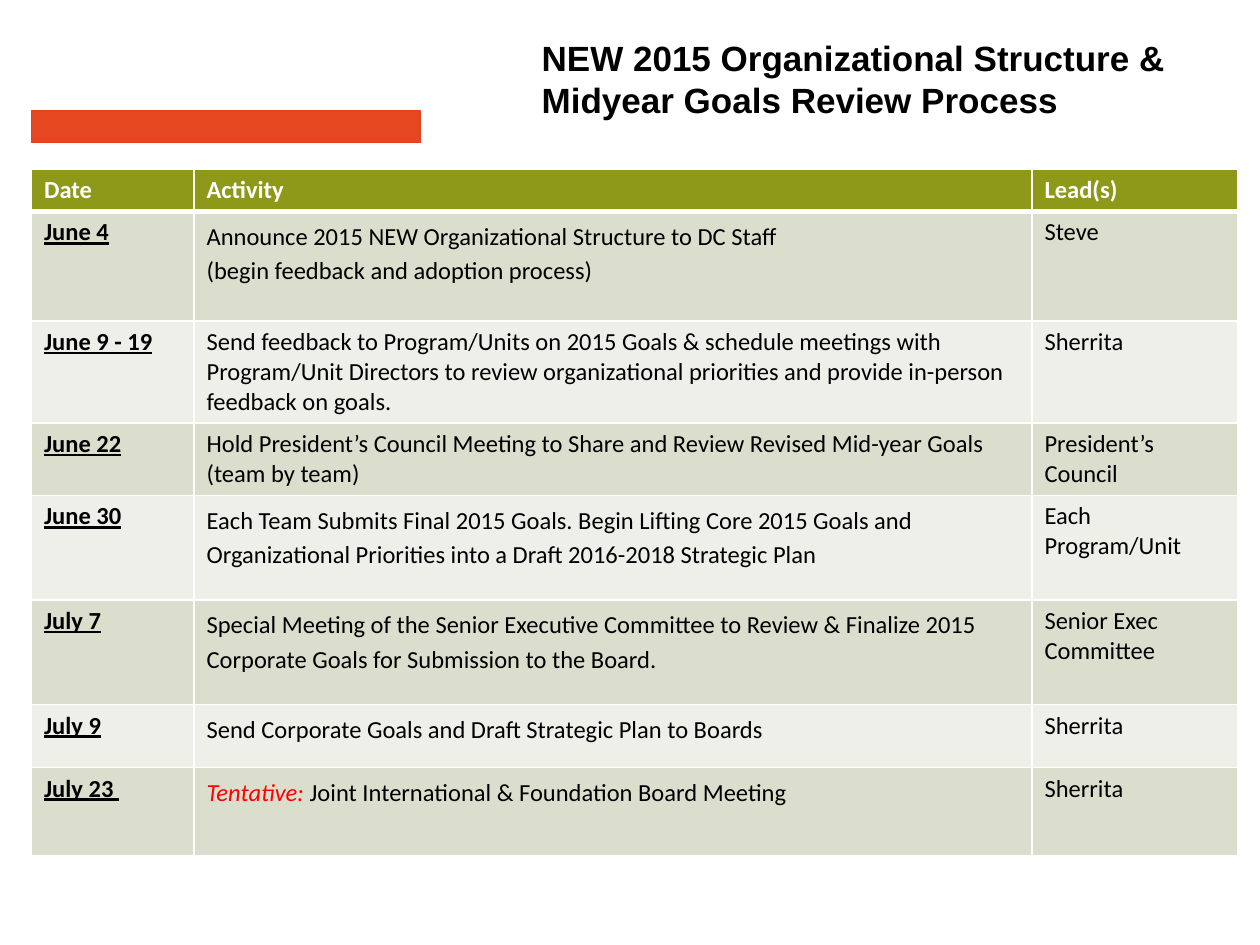
import pptx
import pptx.util
import pptx.dml.color
import pptx.enum.shapes
import pptx.enum.text
import pptx.oxml
import pptx.oxml.ns
from lxml import etree

Inches = pptx.util.Inches
Pt = pptx.util.Pt

COLORS = {
    "accent": "E54721",
    "accent_line": "E5431B",
    "header": "8E991A",
    "odd_row": "DBDECD",
    "even_row": "EEEFE8",
    "white": "FFFFFF",
    "text": "000000",
    "tentative": "FF0000",
}
COLUMN_WIDTHS = [1.29, 6.65, 1.63]
ROW_HEIGHTS = [0.33, 0.87, 0.8, 0.57, 0.83, 0.83, 0.5, 0.7]
HEADINGS = ["Date", "Activity", "Lead(s)"]
TENTATIVE = "Tentative: "

# Date, activity, lead, line spacing of the activity
SCHEDULE = [
    ("June 4", "Announce 2015 NEW Organizational Structure to DC Staff\n"
     "(begin feedback and adoption process)", "Steve", 1.15),
    ("June 9 - 19", "Send feedback to Program/Units on 2015 Goals & schedule meetings "
     "with Program/Unit Directors to review organizational priorities and provide "
     "in-person feedback on goals.", "Sherrita", 1.0),
    ("June 22", "Hold President’s Council Meeting to Share and Review Revised "
     "Mid-year Goals (team by team)", "President’s Council", 1.0),
    ("June 30", "Each Team Submits Final 2015 Goals. Begin Lifting Core 2015 Goals and "
     "Organizational Priorities into a Draft 2016-2018 Strategic Plan",
     "Each Program/Unit", 1.15),
    ("July 7", "Special Meeting of the Senior Executive Committee to Review & Finalize "
     "2015 Corporate Goals for Submission to the Board.", "Senior Exec Committee", 1.15),
    ("July 9", "Send Corporate Goals and Draft Strategic Plan to Boards", "Sherrita", 1.15),
    ("July 23 ", TENTATIVE + "Joint International & Foundation Board Meeting",
     "Sherrita", 1.15),
]


def color(name):
    return pptx.dml.color.RGBColor.from_string(COLORS[name])


def format_run(run, size, font_name, color_name, bold=False, underline=False):
    run.font.size = Pt(size)
    run.font.name = font_name
    run.font.color.rgb = color(color_name)
    run.font.bold = bold
    run.font.underline = underline


def add_accent_bar(slide, left, top, width, height):
    bar = slide.shapes.add_shape(
        pptx.enum.shapes.MSO_SHAPE.RECTANGLE, left, top, width, height)
    bar.shadow.inherit = False
    bar.fill.solid()
    bar.fill.fore_color.rgb = color("accent")
    bar.line.color.rgb = color("accent_line")
    bar.line.width = Pt(0.75)


def add_title(slide, left, top, width, height):
    text_frame = slide.shapes.add_textbox(left, top, width, height).text_frame
    text_frame.word_wrap = True
    text_frame.vertical_anchor = pptx.enum.text.MSO_ANCHOR.MIDDLE
    text_frame.text = "NEW 2015 Organizational Structure & Midyear Goals Review Process"
    format_run(text_frame.paragraphs[0].runs[0], 20, "Arial", "text", bold=True)


def set_borders(cell, bottom_width, top_width):
    properties = cell._tc.get_or_add_tcPr()
    widths = {"lnL": 1, "lnR": 1, "lnT": top_width, "lnB": bottom_width}
    for index, (tag, width) in enumerate(widths.items()):
        line = etree.Element(pptx.oxml.ns.qn("a:" + tag), w=str(Pt(width)))
        fill = etree.SubElement(line, pptx.oxml.ns.qn("a:solidFill"))
        etree.SubElement(fill, pptx.oxml.ns.qn("a:srgbClr"), val=COLORS["white"])
        properties.insert(index, line)


def fill_cell(cell, text, fill_name, text_color, bold, underline, line_spacing):
    cell.fill.solid()
    cell.fill.fore_color.rgb = color(fill_name)
    cell.text_frame.text = text
    for paragraph in cell.text_frame.paragraphs:
        if line_spacing != 1:
            paragraph.line_spacing = line_spacing
        for run in paragraph.runs:
            format_run(run, 14, "Calibri", text_color, bold, underline)


def mark_tentative(cell):
    """Set the leading word apart in red italics."""
    paragraph = cell.text_frame.paragraphs[0]
    lead_run = paragraph.runs[0]
    rest = lead_run.text[len(TENTATIVE):]
    lead_run.text = TENTATIVE
    lead_run.font.italic = True
    lead_run.font.color.rgb = color("tentative")
    rest_run = paragraph.add_run()
    rest_run.text = rest
    format_run(rest_run, 14, "Calibri", "text")


def add_schedule(slide, left, top, width, height):
    table = slide.shapes.add_table(
        len(ROW_HEIGHTS), len(COLUMN_WIDTHS), left, top, width, height).table
    for column, share in zip(table.columns, COLUMN_WIDTHS):
        column.width = int(width * share / sum(COLUMN_WIDTHS))
    for row, share in zip(table.rows, ROW_HEIGHTS):
        row.height = int(height * share / sum(ROW_HEIGHTS))

    for column_index, heading in enumerate(HEADINGS):
        cell = table.cell(0, column_index)
        fill_cell(cell, heading, "header", "white", True, False, 1)
        set_borders(cell, bottom_width=3, top_width=1)

    for row_index, (*texts, spacing) in enumerate(SCHEDULE, start=1):
        fill_name = "odd_row" if row_index % 2 else "even_row"
        for column_index, text in enumerate(texts):
            cell = table.cell(row_index, column_index)
            is_date = column_index == 0
            line_spacing = spacing if column_index == 1 else 1
            fill_cell(cell, text, fill_name, "text", is_date, is_date, line_spacing)
            set_borders(cell, bottom_width=1, top_width=3 if row_index == 1 else 1)
            if text.startswith(TENTATIVE):
                mark_tentative(cell)


def main():
    presentation = pptx.Presentation()
    presentation.slide_width = Inches(10)
    presentation.slide_height = Inches(7.5)
    slide = presentation.slides.add_slide(presentation.slide_layouts[6])
    add_accent_bar(slide, Inches(0.25), Inches(0.88), Inches(3.09), Inches(0.25))
    add_schedule(slide, Inches(0.25), Inches(1.34),
                 Inches(sum(COLUMN_WIDTHS)), Inches(sum(ROW_HEIGHTS)))
    add_title(slide, Inches(4.2), Inches(0.2), Inches(5.51), Inches(0.85))
    presentation.save("out.pptx")


if __name__ == "__main__":
    main()
